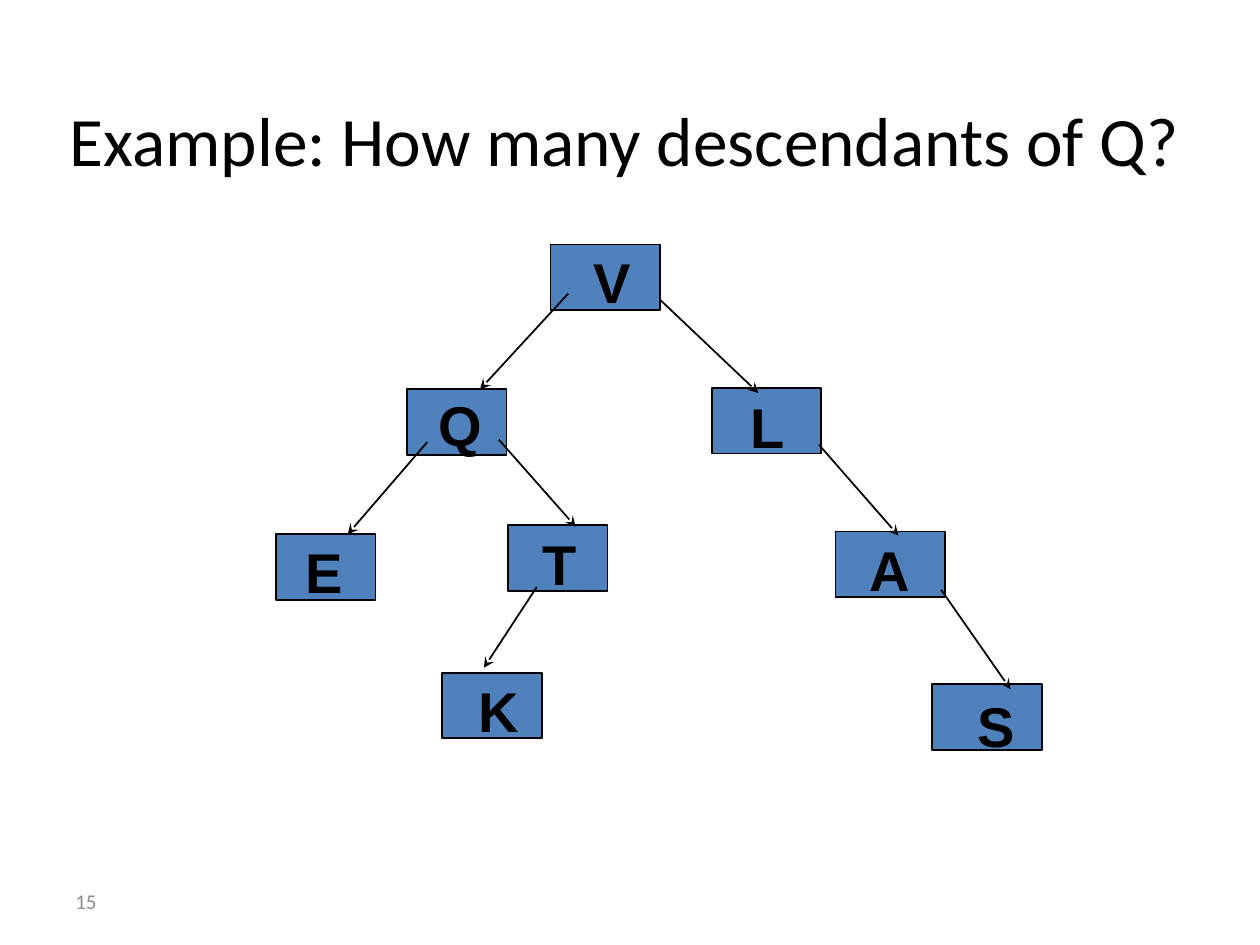
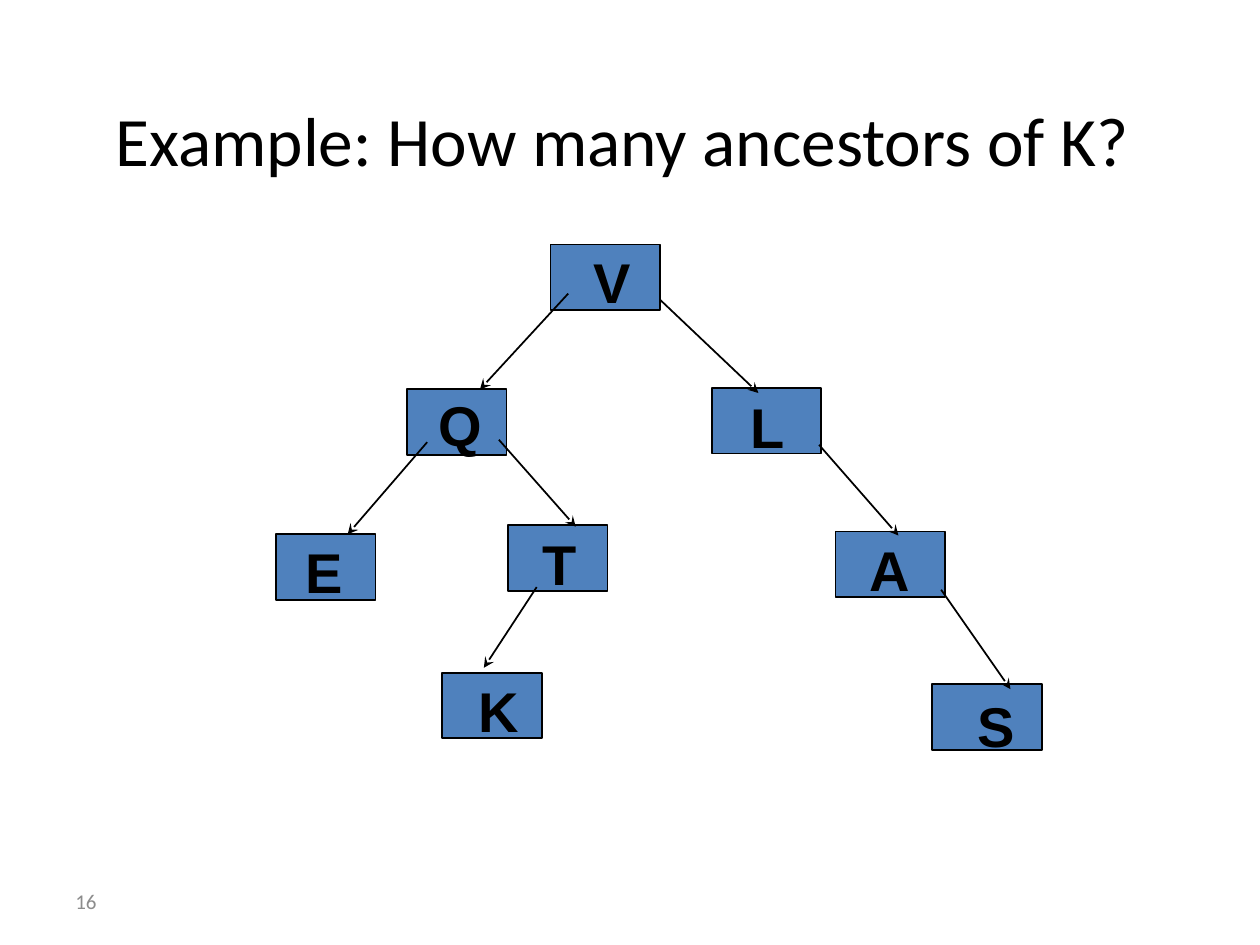
from dataclasses import dataclass

from lxml.etree import SubElement
from pptx import Presentation
from pptx.dml.color import RGBColor
from pptx.enum.shapes import MSO_CONNECTOR as CONN, MSO_SHAPE as SHAPE
from pptx.enum.text import MSO_ANCHOR as ANCHOR, MSO_AUTO_SIZE as AUTO, PP_ALIGN as ALIGN
from pptx.oxml.ns import qn
from pptx.util import Pt

BLACK = RGBColor(0x00, 0x00, 0x00)
BLUE = RGBColor(0x4F, 0x81, 0xBD)
GREY = RGBColor(0x8C, 0x8C, 0x8C)
TITLE_FONT, NODE_FONT = "Calibri", "Arial"

WIDE, NARROW, NODE_H = 62.6, 56.9, 37.4
LABEL_H = 45.4
LINE_W = 1
TITLE_ONLY = 5


@dataclass(frozen=True)
class Node:
    """A tree node: its box, and its letter in a text box of its own."""
    letter: str
    x: float
    y: float
    w: float
    label_x: float
    label_y: float
    label_w: float
    inset: float = 27.2


@dataclass(frozen=True)
class Edge:
    """A branch whose arrow tip touches the child."""
    tip: tuple[float, float]
    start: tuple[float, float]


@dataclass(frozen=True)
class Question:
    """What differs between the slides."""
    title: str
    x: float
    w: float
    number: int


NODES = [
    Node("V", 314.6, 139.7, WIDE, 311.8, 138.2, 75.6),
    Node("Q", 232.6, 222.5, NARROW, 223.2, 219.6, 79.2),
    Node("L", 406.8, 221.8, WIDE, 401.8, 221, 74.2),
    Node("A", 477.4, 303.8, WIDE, 476.6, 302.4, 71.3, 20.5),
    Node("S", 532.8, 391, WIDE, 531.4, 391.7, 75.6),
    Node("E", 157.7, 305.3, NARROW, 147.6, 303.8, 78.5),
    Node("T", 290.2, 300.2, NARROW, 283, 298.8, 74.2),
    Node("K", 252.7, 384.5, NARROW, 246.2, 383, 79.9),
]

EDGES = [
    Edge((433.4, 224.6), (377.3, 171.4)),  # V to L
    Edge((513.4, 306), (468, 254.2)),      # L to A
    Edge((577.4, 393.8), (537.8, 337)),    # A to S
    Edge((329, 301), (285.1, 251.3)),      # Q to T
    Edge((198.7, 305.3), (244.1, 252.7)),  # Q to E
    Edge((276.5, 381.6), (306.7, 335.5)),  # T to K
    Edge((274.3, 222.5), (324.7, 167.8)),  # V to Q
]

QUESTIONS = [
    Question("Example: How many descendants of Q?", 23.8, 666, 15),
    Question("Example: How many ancestors of K?", 46.8, 617.8, 16),
]


def add_run(p, text: str, font: str, size: float, color: RGBColor, bold: bool = False) -> None:
    """Append one formatted run to a paragraph."""
    r = p.add_run()
    r.text = text
    r.font.name, r.font.size, r.font.bold = font, Pt(size), bold
    r.font.color.rgb = color


def add_title(s, question: Question) -> None:
    """Place and fill the title placeholder."""
    sp = s.shapes.title
    sp.left, sp.top, sp.width, sp.height = Pt(question.x), Pt(16.6), Pt(question.w), Pt(90)
    tf = sp.text_frame
    tf.auto_size, tf.vertical_anchor = AUTO.NONE, ANCHOR.BOTTOM
    p = tf.paragraphs[0]
    p.alignment = ALIGN.CENTER
    add_run(p, question.title, TITLE_FONT, 39.6, BLACK)


def add_number(s, number: int) -> None:
    """Write the slide number at the bottom left."""
    tf = s.shapes.add_textbox(Pt(36), Pt(500.4), Pt(167.8), Pt(28.8)).text_frame
    tf.word_wrap, tf.vertical_anchor = True, ANCHOR.MIDDLE
    add_run(tf.paragraphs[0], str(number), TITLE_FONT, 12, GREY)


def add_box(s, node: Node) -> None:
    """Draw the rectangle of a node."""
    sp = s.shapes.add_shape(SHAPE.RECTANGLE, Pt(node.x), Pt(node.y), Pt(node.w), Pt(NODE_H))
    sp.shadow.inherit = False
    sp.fill.solid()
    sp.fill.fore_color.rgb = BLUE
    sp.line.color.rgb, sp.line.width = BLACK, Pt(LINE_W)


def add_edge(s, edge: Edge) -> None:
    """Draw a branch with a stealth arrowhead at its tip."""
    cxn = s.shapes.add_connector(CONN.STRAIGHT, *map(Pt, edge.tip + edge.start))
    cxn.line.color.rgb, cxn.line.width = BLACK, Pt(LINE_W)
    SubElement(cxn.line._get_or_add_ln(), qn("a:headEnd"), type="stealth")
    SubElement(cxn._element.spPr, qn("a:effectLst"))


def add_label(s, node: Node) -> None:
    """Write the letter of a node, inset from the left."""
    tf = s.shapes.add_textbox(
        Pt(node.label_x), Pt(node.label_y), Pt(node.label_w), Pt(LABEL_H)).text_frame
    tf.word_wrap, tf.margin_left = True, Pt(node.inset)
    add_run(tf.paragraphs[0], node.letter, NODE_FONT, 32, BLACK, bold=True)


def add_tree(s) -> None:
    """Draw boxes, then branches, then letters on top."""
    for node in NODES:
        add_box(s, node)
    for edge in EDGES:
        add_edge(s, edge)
    for node in NODES:
        add_label(s, node)


def main() -> None:
    """Build both question slides and save them."""
    prs = Presentation()
    prs.slide_width, prs.slide_height = Pt(720), Pt(540)
    for question in QUESTIONS:
        s = prs.slides.add_slide(prs.slide_layouts[TITLE_ONLY])
        add_number(s, question.number)
        add_title(s, question)
        add_tree(s)
    prs.save("out.pptx")


main()
